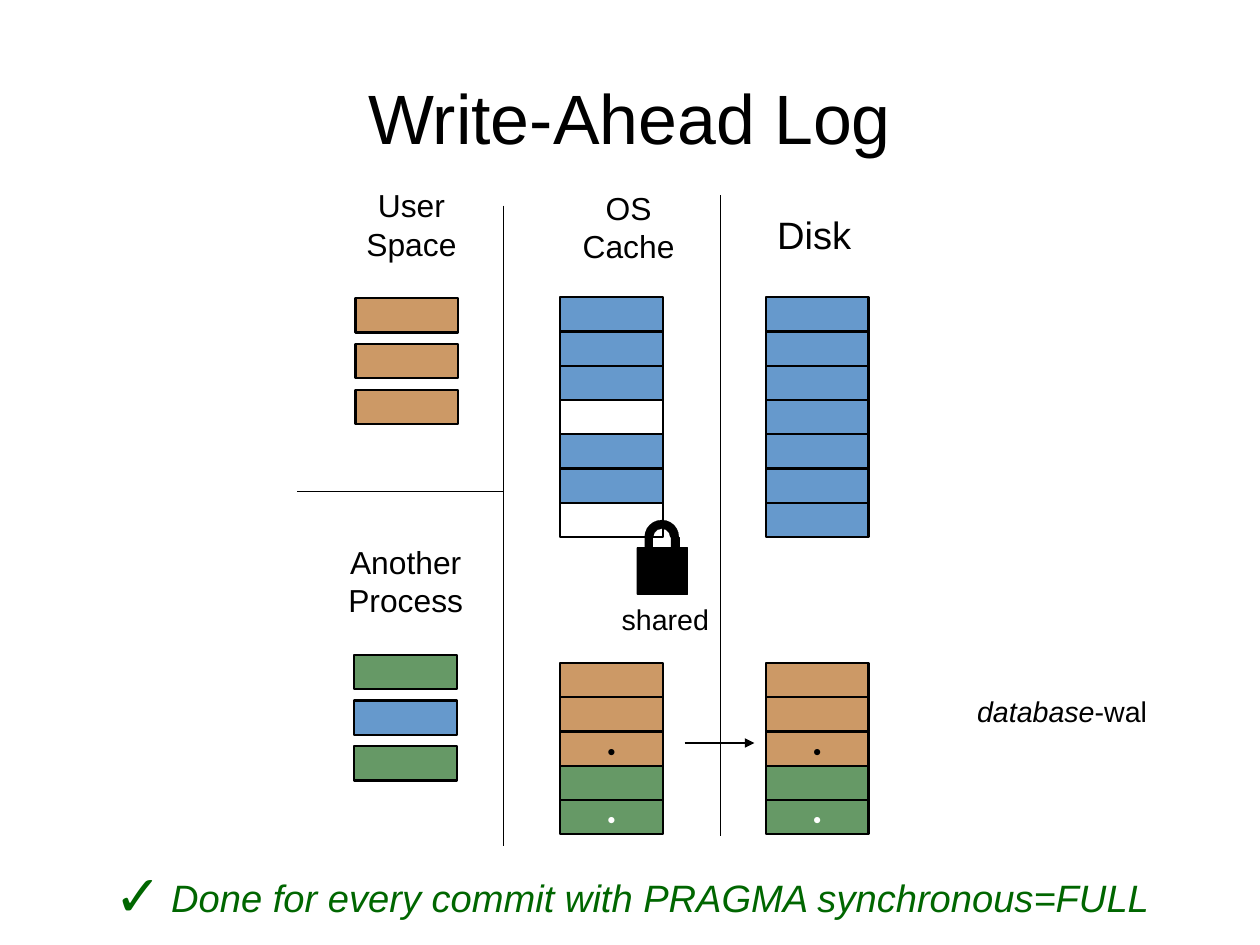
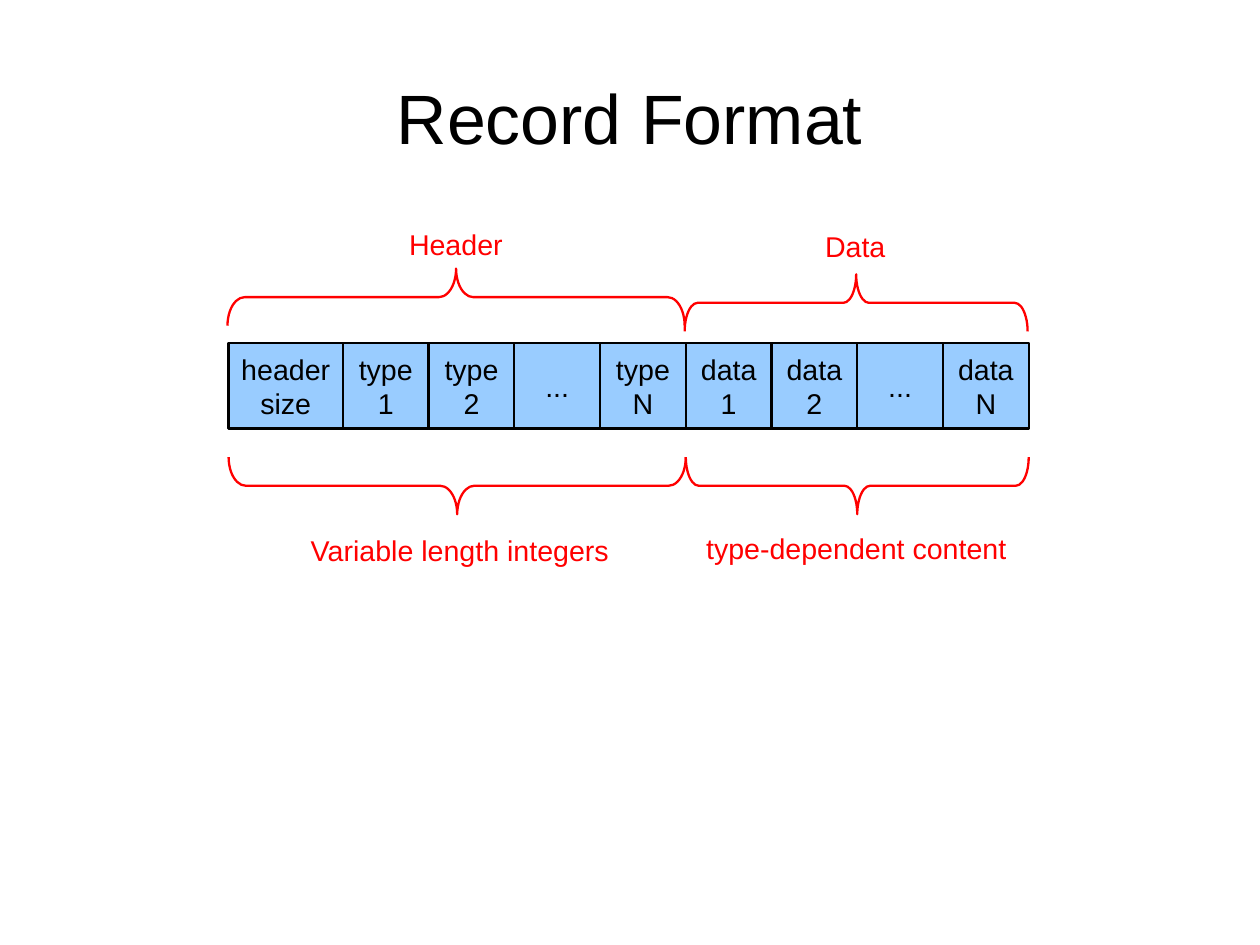
from lxml import etree
from pptx import Presentation
from pptx.dml.color import RGBColor
from pptx.enum.shapes import MSO_CONNECTOR, MSO_SHAPE
from pptx.enum.text import MSO_ANCHOR, MSO_AUTO_SIZE, PP_ALIGN
from pptx.oxml.ns import qn
from pptx.util import Inches, Mm, Pt

RECTANGLE, BLOCK_ARC = MSO_SHAPE.RECTANGLE, MSO_SHAPE.BLOCK_ARC
BRACE_UP, BRACE_DOWN = MSO_SHAPE.LEFT_BRACE, MSO_SHAPE.RIGHT_BRACE
STRAIGHT = MSO_CONNECTOR.STRAIGHT
LEFT, CENTER = PP_ALIGN.LEFT, PP_ALIGN.CENTER
TOP, MIDDLE = MSO_ANCHOR.TOP, MSO_ANCHOR.MIDDLE
GROW = MSO_AUTO_SIZE.SHAPE_TO_FIT_TEXT

BLACK = RGBColor(0x00, 0x00, 0x00)
WHITE = RGBColor(0xFF, 0xFF, 0xFF)
BLUE = RGBColor(0x66, 0x99, 0xCC)
BROWN = RGBColor(0xCC, 0x99, 0x66)
GREEN = RGBColor(0x66, 0x99, 0x66)
DARK_GREEN = RGBColor(0x00, 0x66, 0x00)
PALE_BLUE = RGBColor(0x99, 0xCC, 0xFF)
RED = RGBColor(0xFF, 0x00, 0x00)

FONT, DOT_FONT = "Arial", "Cabin"
OUTLINE, HAIRLINE = 1.45, 0.1
LABEL_INSETS = (0.1, 0.05)
SHAPE_INSETS = (0.11, 0.06)

# Write-Ahead Log: text, box, size, alignment
LOG_LABELS = [
    ("User\nSpace", (3, 1.58, 1.2, 0.73), 20, CENTER),
    ("OS\nCache", (4.9, 1.6, 1.2, 0.73), 20, CENTER),
    ("Disk", (6.7, 1.8, 0.85, 0.47), 24, LEFT),
    ("Another\nProcess", (2.9, 4.7, 1.3, 0.73), 20, CENTER),
    ("shared", (5.34, 5.22, 0.98, 0.38), 18, LEFT),
]
PAGE_WIDTH, PAGE_HEIGHT = 0.9, 0.3
WAL_PAGES = [BROWN] * 3 + [GREEN] * 2
WAL_DOTS = {2: BLACK, 4: WHITE}  # last page of each commit
# left, top, step, page colours, dots
PAGE_STACKS = [
    (3.11, 2.61, 0.4, [BROWN] * 3, {}),
    (3.1, 5.73, 0.4, [GREEN, BLUE, GREEN], {}),
    (4.9, 2.6, 0.3, [BLUE, BLUE, BLUE, WHITE, BLUE, BLUE, WHITE], {}),
    (6.7, 2.6, 0.3, [BLUE] * 7, {}),
    (4.9, 5.8, 0.3, WAL_PAGES, WAL_DOTS),
    (6.7, 5.8, 0.3, WAL_PAGES, WAL_DOTS),
]
DIVIDERS = [((4.4, 1.8), (4.4, 7.4)), ((6.3, 1.71), (6.3, 7.31)),
            ((2.6, 4.3), (4.4, 4.3))]
SYNC_ARROW = ((5.99, 6.5), (6.6, 6.5))
LOCK_PARTS = [
    (BLOCK_ARC, (5.64, 4.55, 0.3, 0.3)),
    (RECTANGLE, (5.64, 4.7, 0.07, 0.25)),
    (RECTANGLE, (5.87, 4.7, 0.07, 0.25)),
    (RECTANGLE, (5.57, 4.79, 0.44, 0.41)),
]
COMMIT_NOTE = "Done for every commit with PRAGMA synchronous=FULL"

# Record Format
RECORD_LEFT, RECORD_TOP, FIELD_SIZE, FIRST_FIELD_WIDTH = 2, 3, 0.75, 1
FIELDS = ["header\nsize", "type\n1", "type\n2", "...", "type\nN",
          "data\n1", "data\n2", "...", "data\nN"]
BRACE_DEPTH = 0.5
# brace, left, top, length, caption, caption box
BRACES = [
    (BRACE_UP, 1.99, 2.35, 4, "Header", (3.48, 1.94, 1.02, 0.38)),
    (BRACE_UP, 5.99, 2.4, 3, "Data", (7.12, 1.95, 0.73, 0.38)),
    (BRACE_DOWN, 2, 4, 4, "Variable length integers", (2.62, 4.61, 2.81, 0.38)),
    (BRACE_DOWN, 6, 4, 3, "type-dependent content", (6.08, 4.6, 2.84, 0.38)),
]


def write(shape, text, size, color=BLACK, align=CENTER, anchor=MIDDLE,
          insets=SHAPE_INSETS, wrap=True, font=FONT):
    frame = shape.text_frame
    frame.text = text
    frame.word_wrap = wrap
    frame.vertical_anchor = anchor
    frame.margin_left = frame.margin_right = Inches(insets[0])
    frame.margin_top = frame.margin_bottom = Inches(insets[1])
    for paragraph in frame.paragraphs:
        paragraph.alignment = align
        for run in paragraph.runs:
            run.font.name, run.font.size = font, Pt(size)
            run.font.color.rgb = color
    return frame


def add_label(slide, text, box, size, align=LEFT, color=BLACK, wrap=False):
    label = slide.shapes.add_textbox(*map(Inches, box))
    frame = write(label, text, size, color, align, TOP, LABEL_INSETS, wrap)
    frame.auto_size = GROW
    return frame


def add_shape(slide, kind, box, fill=None, line=BLACK, width=OUTLINE):
    shape = slide.shapes.add_shape(kind, *map(Inches, box))
    shape.shadow.inherit = False
    if fill is None:
        shape.fill.background()
    else:
        shape.fill.solid()
        shape.fill.fore_color.rgb = fill
    shape.line.color.rgb = line
    shape.line.width = Pt(width)
    return shape


def add_line(slide, start, end, width=HAIRLINE, arrow=False):
    line = slide.shapes.add_connector(STRAIGHT, *map(Inches, start + end))
    line.line.color.rgb = BLACK
    line.line.width = Pt(width)
    if arrow:
        etree.SubElement(line.line._get_or_add_ln(), qn("a:tailEnd"), type="triangle")
    etree.SubElement(line._element.spPr, qn("a:effectLst"))


def add_check_bullet(paragraph, color):
    properties = paragraph._p.get_or_add_pPr()
    properties.set("marL", str(Inches(0.5)))
    properties.set("indent", str(-Inches(0.5)))
    bullet_color = etree.SubElement(properties, qn("a:buClr"))
    etree.SubElement(bullet_color, qn("a:srgbClr"), val=str(color))
    etree.SubElement(properties, qn("a:buSzPct"), val="150000")
    etree.SubElement(properties, qn("a:buFont"), typeface=FONT)
    etree.SubElement(properties, qn("a:buChar"), char="✓")


def add_titled_slide(presentation, title):
    slide = presentation.slides.add_slide(presentation.slide_layouts[6])
    box = slide.shapes.add_textbox(*map(Inches, (0.55, 0.33, 9.92, 1.38)))
    write(box, title, 44, insets=(0, 0))
    return slide


def build_log_slide(presentation):
    slide = add_titled_slide(presentation, "Write-Ahead Log")
    for start, end in DIVIDERS:
        add_line(slide, start, end)
    for left, top, step, colors, dots in PAGE_STACKS:
        for index, color in enumerate(colors):
            box = (left, top + index * step, PAGE_WIDTH, PAGE_HEIGHT)
            page = add_shape(slide, RECTANGLE, box, color)
            if index in dots:
                write(page, "•", 18, dots[index], wrap=False, font=DOT_FONT)
    for kind, box in LOCK_PARTS:
        add_shape(slide, kind, box, BLACK, width=HAIRLINE)
    for label in LOG_LABELS:
        add_label(slide, *label)
    add_line(slide, *SYNC_ARROW, width=OUTLINE, arrow=True)

    file_name = add_label(slide, "database", (8.45, 6.02, 2.05, 0.38), 18, wrap=True)
    stem = file_name.paragraphs[0].runs[0]
    stem.font.italic = True
    suffix = file_name.paragraphs[0].add_run()
    suffix.text = "-wal"
    suffix.font.name, suffix.font.size = FONT, stem.font.size
    suffix.font.color.rgb = BLACK

    note = add_label(slide, COMMIT_NOTE, (0.9, 7.6, 9.6, 0.47), 24,
                     color=DARK_GREEN, wrap=True).paragraphs[0]
    note.runs[0].font.italic = True
    add_check_bullet(note, DARK_GREEN)


def add_brace(slide, kind, left, top, length):
    """Place an upright brace so that a quarter turn lays it at left, top."""
    shift = (length - BRACE_DEPTH) / 2
    box = (left + shift, top - shift, BRACE_DEPTH, length)
    brace = add_shape(slide, kind, box, line=RED)
    brace.rotation = 90
    brace.adjustments[0] = 0.0375 * length / BRACE_DEPTH


def build_record_slide(presentation):
    slide = add_titled_slide(presentation, "Record Format")
    left = RECORD_LEFT
    for index, field in enumerate(FIELDS):
        width = FIELD_SIZE if index else FIRST_FIELD_WIDTH
        cell = add_shape(slide, RECTANGLE, (left, RECORD_TOP, width, FIELD_SIZE), PALE_BLUE)
        write(cell, field, 18)
        left += width
    for kind, left, top, length, caption, box in BRACES:
        add_brace(slide, kind, left, top, length)
        add_label(slide, caption, box, 18, color=RED)


def main():
    presentation = Presentation()
    presentation.slide_width = Mm(280)
    presentation.slide_height = Mm(210)
    build_log_slide(presentation)
    build_record_slide(presentation)
    presentation.save("out.pptx")


if __name__ == "__main__":
    main()
